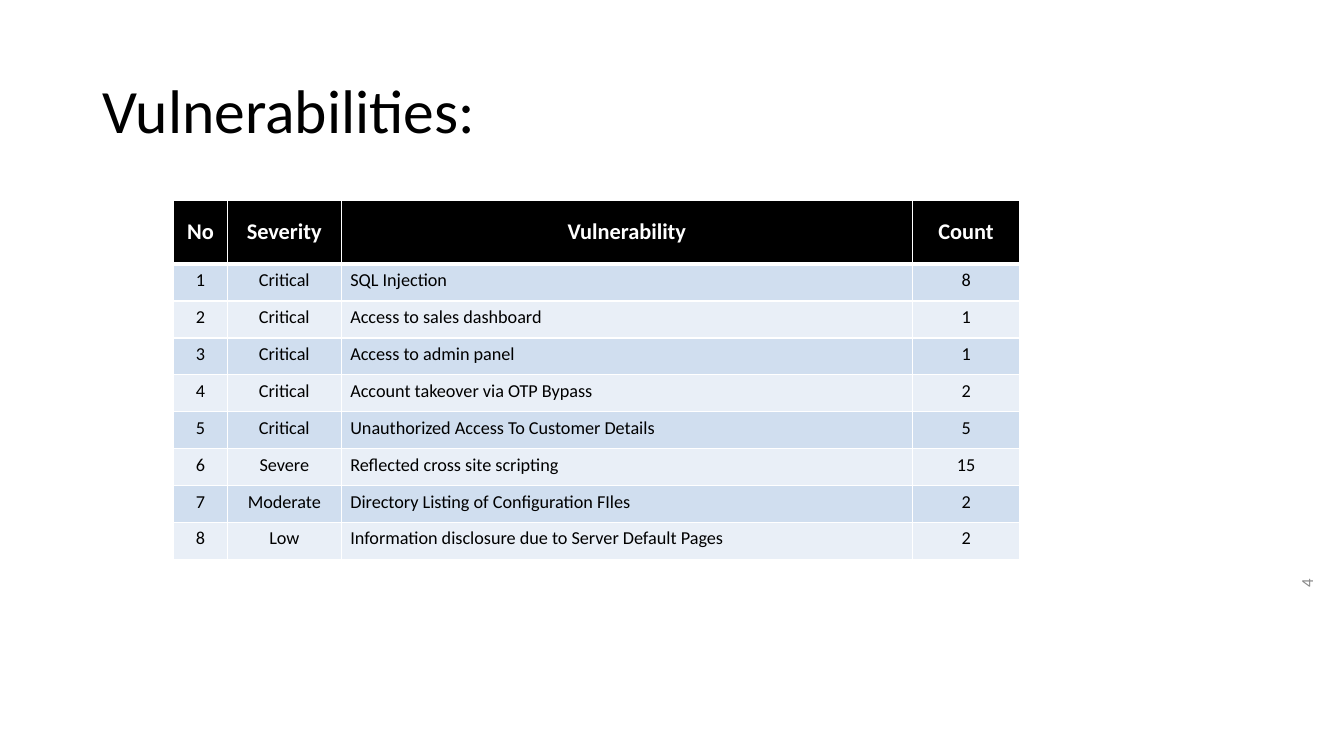
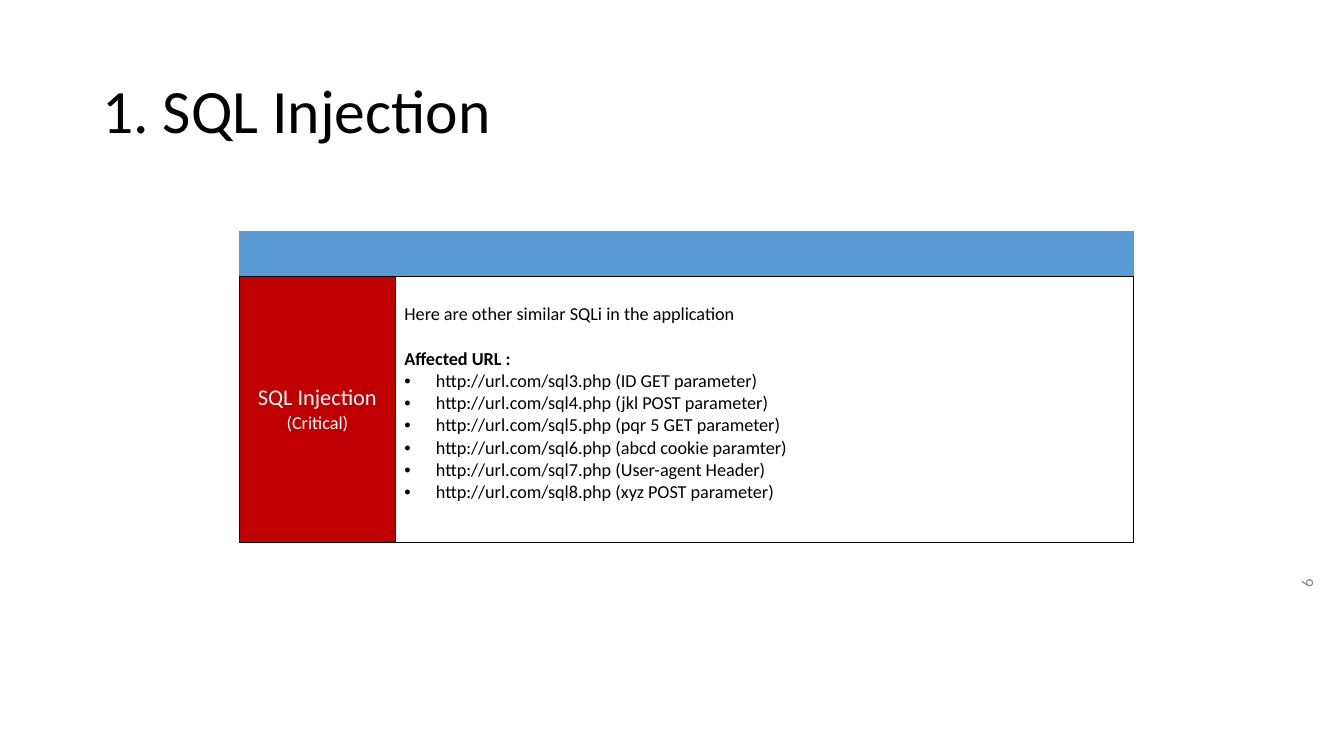
from pptx import Presentation
from pptx.dml.color import RGBColor
from pptx.enum.text import MSO_ANCHOR, PP_ALIGN
from pptx.oxml.ns import qn
from pptx.util import Pt
from lxml.etree import Element, SubElement

COLOURS = {
    "black": "000000", "white": "FFFFFF", "grey": "888888", "blue": "5B9BD5",
    "red": "C00000", "band_dark": "D0DEEF", "band_light": "E9EFF7",
}

# Text styles: colour name plus font attributes
TITLE = {"colour": "black", "size": Pt(44)}
PAGE_NUMBER = {"colour": "grey", "size": Pt(12)}
HEADING = {"colour": "white", "size": Pt(16), "bold": True}
BODY = {"colour": "black", "size": Pt(13), "bold": False}
STRONG = {**BODY, "bold": True}
RISK_NAME = {**HEADING, "bold": False}
RISK_LEVEL = {**BODY, "colour": "white"}

# Paragraph styles
LEFT = {"alignment": PP_ALIGN.LEFT}
CENTRE = {"alignment": PP_ALIGN.CENTER}
RIGHT = {"alignment": PP_ALIGN.RIGHT}
TITLE_PARA = {**LEFT, "line_spacing": 0.9}

BODY_LINE = 15.9  # height of one body line
CELL_MARGINS = {"margin_left": Pt(6.5), "margin_right": Pt(6.5),
                "margin_top": Pt(3.6), "margin_bottom": Pt(3.6)}
MIDDLE = {"vertical_anchor": MSO_ANCHOR.MIDDLE}

FINDINGS = [
    ("Critical", "SQL Injection", 8),
    ("Critical", "Access to sales dashboard", 1),
    ("Critical", "Access to admin panel", 1),
    ("Critical", "Account takeover via OTP Bypass", 2),
    ("Critical", "Unauthorized Access To Customer Details", 5),
    ("Severe", "Reflected cross site scripting", 15),
    ("Moderate", "Directory Listing of Configuration FIles", 2),
    ("Low", "Information disclosure due to Server Default Pages", 2),
]
AFFECTED_URLS = [
    "http://url.com/sql3.php (ID GET parameter)",
    "http://url.com/sql4.php (jkl POST parameter)",
    "http://url.com/sql5.php (pqr 5 GET parameter)",
    "http://url.com/sql6.php (abcd cookie paramter)",
    "http://url.com/sql7.php (User-agent Header)",
    "http://url.com/sql8.php (xyz POST parameter)",
]


def apply(target, values):
    for name, value in values.items():
        setattr(target, name, value)


def rgb(colour):
    return RGBColor.from_string(COLOURS[colour])


def add_bullet(para, indent=22.5):
    properties = para._p.get_or_add_pPr()
    properties.set("marL", str(Pt(indent)))
    properties.set("indent", str(-Pt(indent)))
    colour = SubElement(properties, qn("a:buClr"))
    SubElement(colour, qn("a:srgbClr"), val=COLOURS["black"])
    SubElement(properties, qn("a:buFont"), typeface="Arial")
    SubElement(properties, qn("a:buChar"), char="•")


def write(frame, lines):
    """Each line is text, text style and paragraph style."""
    for index, (text, text_style, para_style) in enumerate(lines):
        para = frame.paragraphs[0] if index == 0 else frame.add_paragraph()
        apply(para, para_style)
        span = para.add_run()
        span.text = text
        span.font.name = "Calibri"
        span.font.color.rgb = rgb(text_style["colour"])
        apply(span.font, {k: v for k, v in text_style.items() if k != "colour"})


def add_text(page, place, text, text_style, para_style, rotation=0):
    box = page.shapes.add_textbox(*map(Pt, place))
    box.rotation = rotation
    apply(box.text_frame, {"word_wrap": True, **MIDDLE})
    write(box.text_frame, [(text, text_style, para_style)])


def add_page(deck, title, number):
    page = deck.slides.add_slide(deck.slide_layouts[6])
    add_text(page, (881.3, 440, 103.7, 36), str(number), PAGE_NUMBER, RIGHT, 270)
    add_text(page, (66, 28.8, 828, 104.4), title, TITLE, TITLE_PARA)
    return page


def add_grid(page, left, top, widths, heights):
    frame = page.shapes.add_table(len(heights), len(widths), Pt(left), Pt(top),
                                  Pt(sum(widths)), Pt(sum(heights)))
    table = frame.table
    table.horz_banding = False
    for column, width in zip(table.columns, widths):
        column.width = Pt(width)
    for row, height in zip(table.rows, heights):
        row.height = Pt(height)
    return table


def fill_cell(cell, fill, lines, border, sides=None, **settings):
    """A border is (colour, width); sides maps L, R, T or B to another one."""
    apply(cell, {**CELL_MARGINS, **settings})
    cell.fill.solid()
    cell.fill.fore_color.rgb = rgb(fill)
    write(cell.text_frame, lines)
    properties = cell._tc.get_or_add_tcPr()
    for index, side in enumerate("LRTB"):
        colour, width = (sides or {}).get(side, border)
        line = Element(qn(f"a:ln{side}"), w=str(Pt(width)))
        solid = SubElement(line, qn("a:solidFill"))
        SubElement(solid, qn("a:srgbClr"), val=COLOURS[colour])
        properties.insert(index, line)


def add_overview(deck):
    page = add_page(deck, "Vulnerabilities:", 4)
    table = add_grid(page, 124, 143, [38.4, 81.4, 408.2, 76.3],
                     [45.6] + [26.4] * len(FINDINGS))
    thin, thick = ("white", 1), ("white", 3)

    # Header row
    for column, text in enumerate(("No", "Severity", "Vulnerability", "Count")):
        fill_cell(table.cell(0, column), "black", [(text, HEADING, CENTRE)],
                  thin, {"B": thick}, **MIDDLE)

    # Banded findings
    for row, finding in enumerate(FINDINGS, 1):
        band = "band_dark" if row % 2 else "band_light"
        sides = {"T": thick} if row == 1 else None
        for column, value in enumerate((row, *finding)):
            para_style = LEFT if column == 2 else CENTRE
            fill_cell(table.cell(row, column), band,
                      [(str(value), BODY, para_style)], thin, sides)


def add_detail(deck):
    page = add_page(deck, "1. SQL Injection", 6)
    table = add_grid(page, 171, 165.2, [111.4, 527], [32.2, 190])
    outline = ("black", 1)

    # Blue band
    for column in range(2):
        fill_cell(table.cell(0, column), "blue", [], ("blue", 1), {"B": outline})

    # Risk and affected addresses
    fill_cell(table.cell(1, 0), "red",
              [("SQL Injection", RISK_NAME, CENTRE), ("(Critical)", RISK_LEVEL, CENTRE)],
              outline, **MIDDLE)
    details = table.cell(1, 1)
    lines = [("Here are other similar SQLi in the application", BODY, LEFT),
             ("Affected URL :", STRONG, {**LEFT, "space_before": Pt(BODY_LINE)})]
    lines += [(address, BODY, LEFT) for address in AFFECTED_URLS]
    fill_cell(details, "white", lines, outline, margin_top=Pt(3.6 + BODY_LINE))
    for para in details.text_frame.paragraphs[2:]:
        add_bullet(para)


def main():
    deck = Presentation()
    apply(deck, {"slide_width": Pt(960), "slide_height": Pt(540)})
    add_overview(deck)
    add_detail(deck)
    deck.save("out.pptx")


if __name__ == "__main__":
    main()
